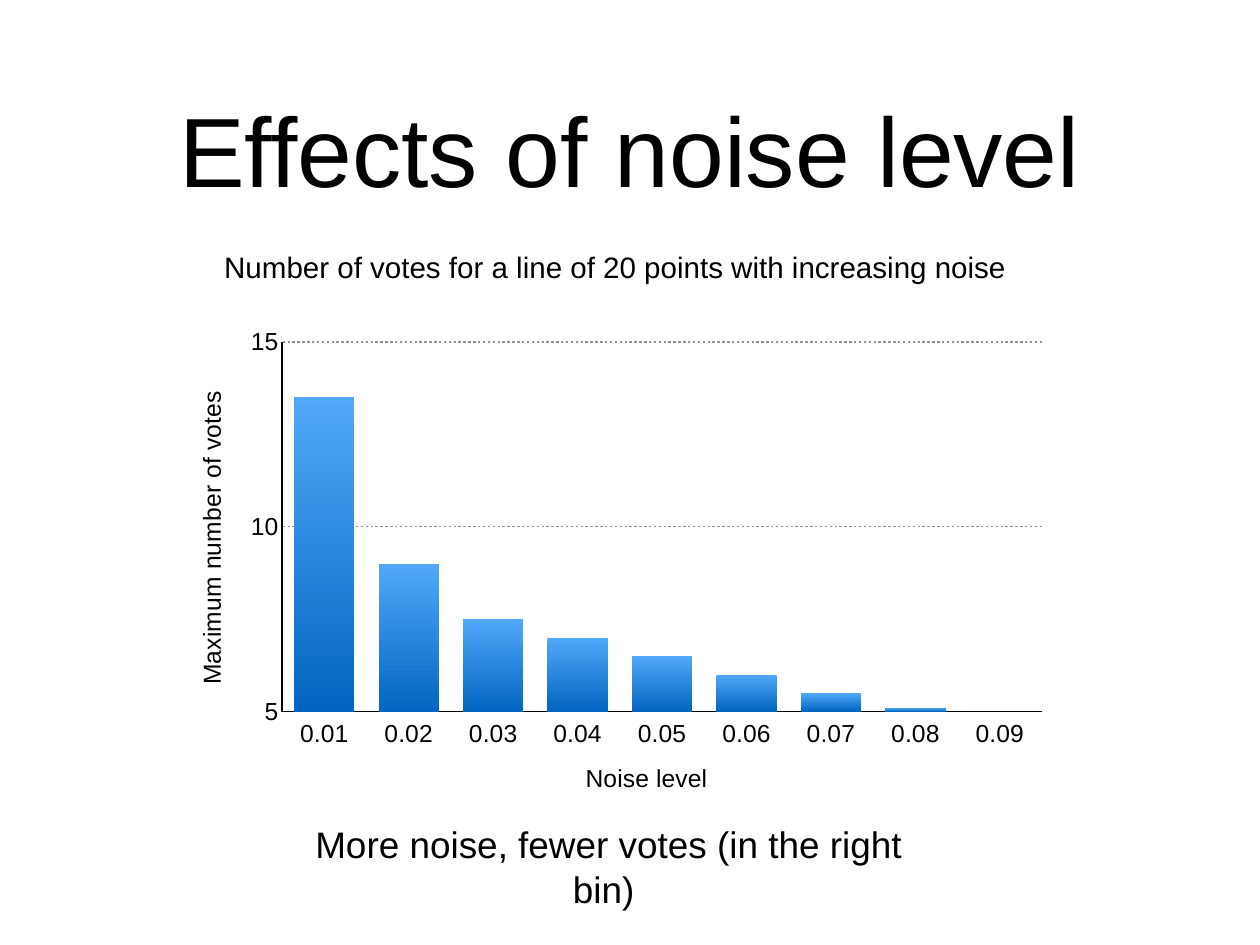
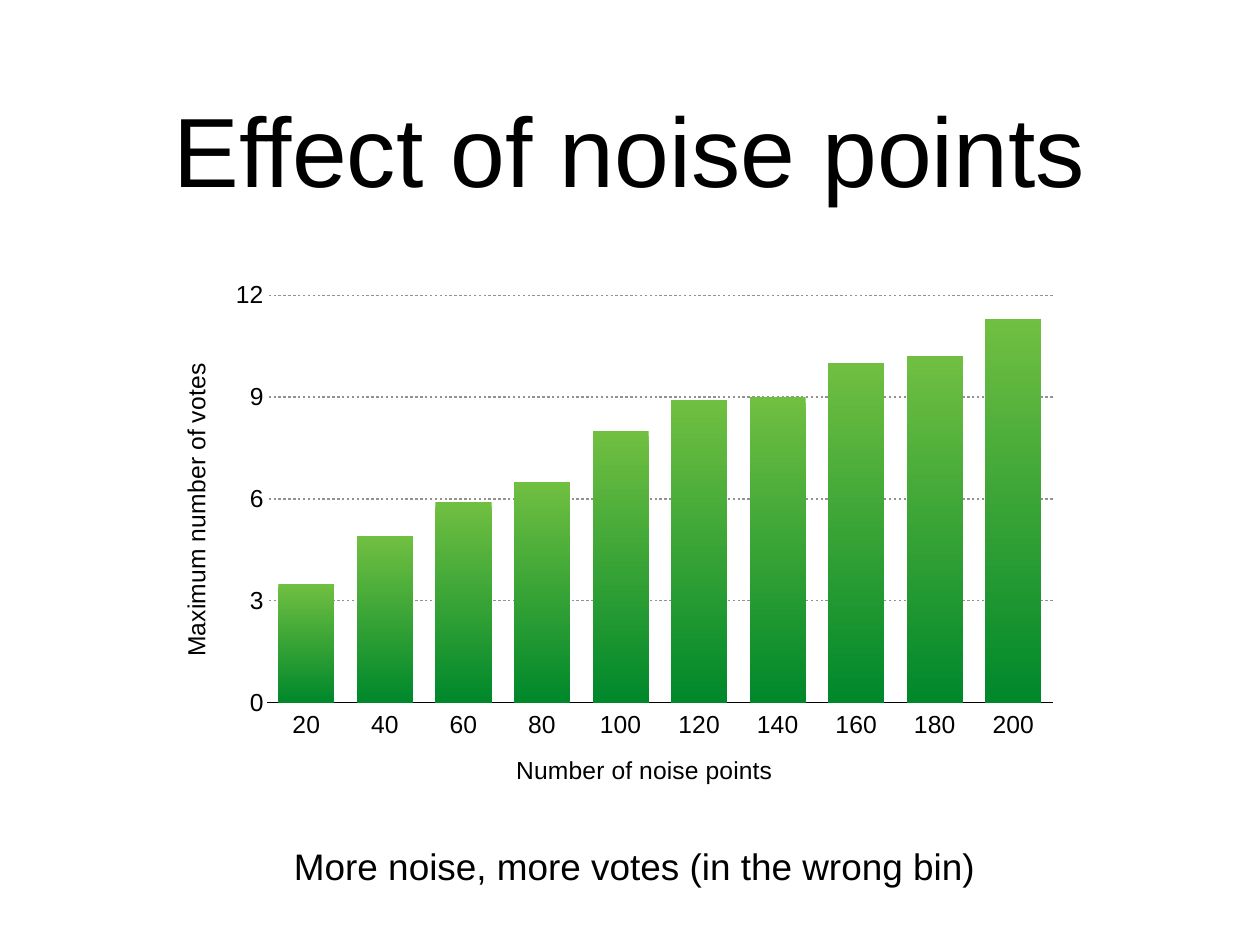
"""Build two slides on how noise changes Hough voting counts."""
from dataclasses import dataclass
from typing import Optional

import pptx
import pptx.chart.axis
import pptx.chart.chart
import pptx.chart.data
import pptx.dml.color
import pptx.dml.fill
import pptx.enum.chart
import pptx.enum.text
import pptx.oxml
import pptx.oxml.ns
import pptx.shapes.base
import pptx.slide
import pptx.util

Inches = pptx.util.Inches
Pt = pptx.util.Pt

FONT = "Arial"
INK = "000000"
GRID = "929292"
GRADIENTS = {
    "Series 1": ("51A8F9", "0365C0"),
    "Series 2": ("70BF41", "00882B"),
}
AXIS_SIZE = 20
VOTES_TITLE = "Maximum number of votes"

Box = tuple[float, float, float, float]
TITLE_BOX: Box = (1.04, 0.49, 12.14, 2.36)


@dataclass(frozen=True)
class Caption:
    """A centred line of text on the slide."""
    text: str
    box: Box
    size: int


@dataclass(frozen=True)
class VoteChart:
    """A column chart of votes against a noise measure."""
    box: Box
    plot: Box
    noise_title: str
    noise_values: list[str]
    votes: dict[str, list[float]]
    scale: tuple[int, int, int]
    number_format: str
    votes_line: Optional[str]


@dataclass(frozen=True)
class NoiseSlide:
    """A title, a chart and its captions."""
    title: str
    chart: VoteChart
    captions: list[Caption]


SLIDES = [
    NoiseSlide(
        "Effects of noise level",
        VoteChart(
            box=(2.15, 3.53, 9.66, 5.53),
            plot=(0.107, 0.06, 0.888, 0.755),
            noise_title="Noise level",
            noise_values=[f"{step / 100:.2f}" for step in range(1, 10)],
            votes={"Series 1": [13.5, 9, 7.5, 7, 6.5, 6, 5.5, 5.1, 5]},
            scale=(5, 15, 5),
            number_format="0",
            votes_line=INK,
        ),
        [
            Caption("More noise, fewer votes (in the right bin) ", (3.3, 9.47, 7.14, 0.62), 30),
            Caption("Number of votes for a line of 20 points with increasing noise",
                    (2.41, 2.76, 9.06, 0.51), 24),
        ],
    ),
    NoiseSlide(
        "Effect of noise points",
        VoteChart(
            box=(1.98, 3, 9.95, 5.96),
            plot=(0.104, 0.056, 0.891, 0.772),
            noise_title="Number of noise points",
            noise_values=[str(count) for count in range(20, 201, 20)],
            votes={"Series 2": [3.5, 4.9, 5.9, 6.5, 8, 8.9, 9, 10, 10.2, 11.3]},
            scale=(0, 12, 3),
            number_format="General",
            votes_line=None,
        ),
        [Caption("More noise, more votes (in the wrong bin) ", (3.21, 9.47, 8.02, 0.61), 30)],
    ),
]


def color(value: str) -> pptx.dml.color.RGBColor:
    """Turn a hex string into a colour."""
    return pptx.dml.color.RGBColor.from_string(value)


def set_font(font, size: int) -> None:
    """Apply the shared typeface and ink."""
    font.name = FONT
    font.size = Pt(size)
    font.bold = False
    font.color.rgb = color(INK)


def write(shape: pptx.shapes.base.BaseShape, text: str, size: int) -> None:
    """Write one centred paragraph, middle-anchored."""
    frame = shape.text_frame
    frame.text = text
    frame.word_wrap = True
    frame.auto_size = pptx.enum.text.MSO_AUTO_SIZE.NONE
    frame.vertical_anchor = pptx.enum.text.MSO_ANCHOR.MIDDLE
    frame.margin_left = frame.margin_right = Inches(0.06)
    frame.margin_top = frame.margin_bottom = Inches(0.06)
    paragraph = frame.paragraphs[0]
    paragraph.alignment = pptx.enum.text.PP_ALIGN.CENTER
    set_font(paragraph.font, size)


def style_axis(axis: pptx.chart.axis._BaseAxis, title: str, line: Optional[str]) -> None:
    """Give an axis its title, labels and line."""
    axis.has_title = True
    axis.axis_title.text_frame.text = title
    set_font(axis.axis_title.text_frame.paragraphs[0].font, AXIS_SIZE)
    set_font(axis.tick_labels.font, AXIS_SIZE)
    axis.major_tick_mark = axis.minor_tick_mark = pptx.enum.chart.XL_TICK_MARK.NONE
    if line is None:
        axis.format.line.fill.background()
    else:
        axis.format.line.color.rgb = color(line)
        axis.format.line.width = Pt(1)


def shade(fill: pptx.dml.fill.FillFormat, gradient: tuple[str, str]) -> None:
    """Fill from top to bottom."""
    fill.gradient()
    fill.gradient_angle = 270
    for stop, value in zip(fill.gradient_stops, gradient):
        stop.color.rgb = color(value)


def place_plot(chart: pptx.chart.chart.Chart, plot: Box) -> None:
    """Fix the inner plot area as fractions of the chart."""
    area = chart.element.xpath(".//c:plotArea")[0]
    for old in area.xpath("./c:layout"):
        area.remove(old)
    fractions = "".join(f'<c:{key} val="{part}"/>' for key, part in zip("xywh", plot))
    area.insert(0, pptx.oxml.parse_xml(
        f'<c:layout {pptx.oxml.ns.nsdecls("c")}><c:manualLayout>'
        '<c:layoutTarget val="inner"/><c:xMode val="edge"/><c:yMode val="edge"/>'
        f'{fractions}</c:manualLayout></c:layout>'))


def drop_empty_values(chart: pptx.chart.chart.Chart) -> None:
    """Leave series without votes out of the column clusters."""
    for values in chart.element.xpath(".//c:ser/c:val[not(.//c:pt)]"):
        values.getparent().remove(values)


def style_gridlines(axis: pptx.chart.axis.ValueAxis) -> None:
    """Draw grey gridlines with even dashes and gaps."""
    line = axis.major_gridlines.format.line
    line.color.rgb = color(GRID)
    line.width = Pt(1)
    outline = axis.major_gridlines.format.line.fill._xPr
    outline.append(pptx.oxml.parse_xml(
        f'<a:custDash {pptx.oxml.ns.nsdecls("a")}>'
        '<a:ds d="200000" sp="200000"/></a:custDash>'))


def add_votes(slide: pptx.slide.Slide, content: VoteChart) -> None:
    """Draw the column chart."""
    data = pptx.chart.data.CategoryChartData()
    data.categories = content.noise_values
    for name in GRADIENTS:
        data.add_series(name, content.votes.get(name, []))
    chart = slide.shapes.add_chart(
        pptx.enum.chart.XL_CHART_TYPE.COLUMN_CLUSTERED,
        *map(Inches, content.box), data).chart
    chart.has_legend = False
    chart.has_title = False
    set_font(chart.font, 10)
    place_plot(chart, content.plot)
    drop_empty_values(chart)

    columns = chart.plots[0]
    columns.gap_width = 40
    columns.overlap = -10
    columns.vary_by_categories = False
    for series in columns.series:
        shade(series.format.fill, GRADIENTS[series.name])

    noise_axis, votes_axis = chart.category_axis, chart.value_axis
    style_axis(noise_axis, content.noise_title, INK)
    noise_axis.tick_label_position = pptx.enum.chart.XL_TICK_LABEL_POSITION.LOW
    style_axis(votes_axis, VOTES_TITLE, content.votes_line)
    chart.element.xpath(".//c:valAx/c:title//a:bodyPr")[0].set("rot", "-5400000")
    votes_axis.minimum_scale, votes_axis.maximum_scale, votes_axis.major_unit = content.scale
    votes_axis.tick_labels.number_format = content.number_format
    votes_axis.tick_labels.number_format_is_linked = False
    style_gridlines(votes_axis)


def main() -> None:
    """Build and save the presentation."""
    deck = pptx.Presentation()
    deck.slide_width, deck.slide_height = Inches(14.22), Inches(10.67)
    layout = deck.slide_layouts.get_by_name("Title Only")
    heading = layout.placeholders[0]
    heading.left, heading.top, heading.width, heading.height = map(Inches, TITLE_BOX)
    for content in SLIDES:
        slide = deck.slides.add_slide(layout)
        write(slide.shapes.title, content.title, 80)
        add_votes(slide, content.chart)
        for caption in content.captions:
            textbox = slide.shapes.add_textbox(*map(Inches, caption.box))
            write(textbox, caption.text, caption.size)
    deck.save("out.pptx")


if __name__ == "__main__":
    main()
